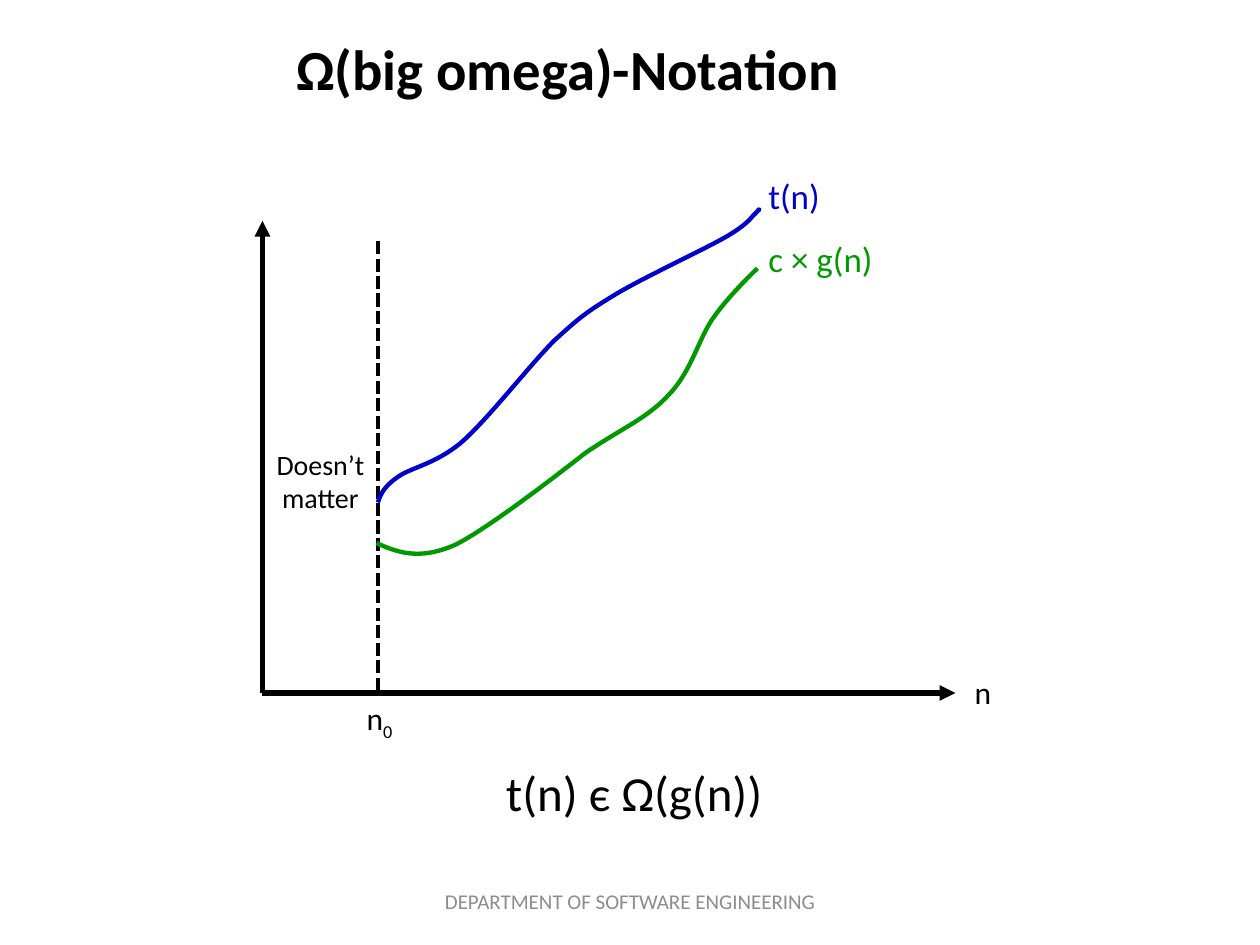
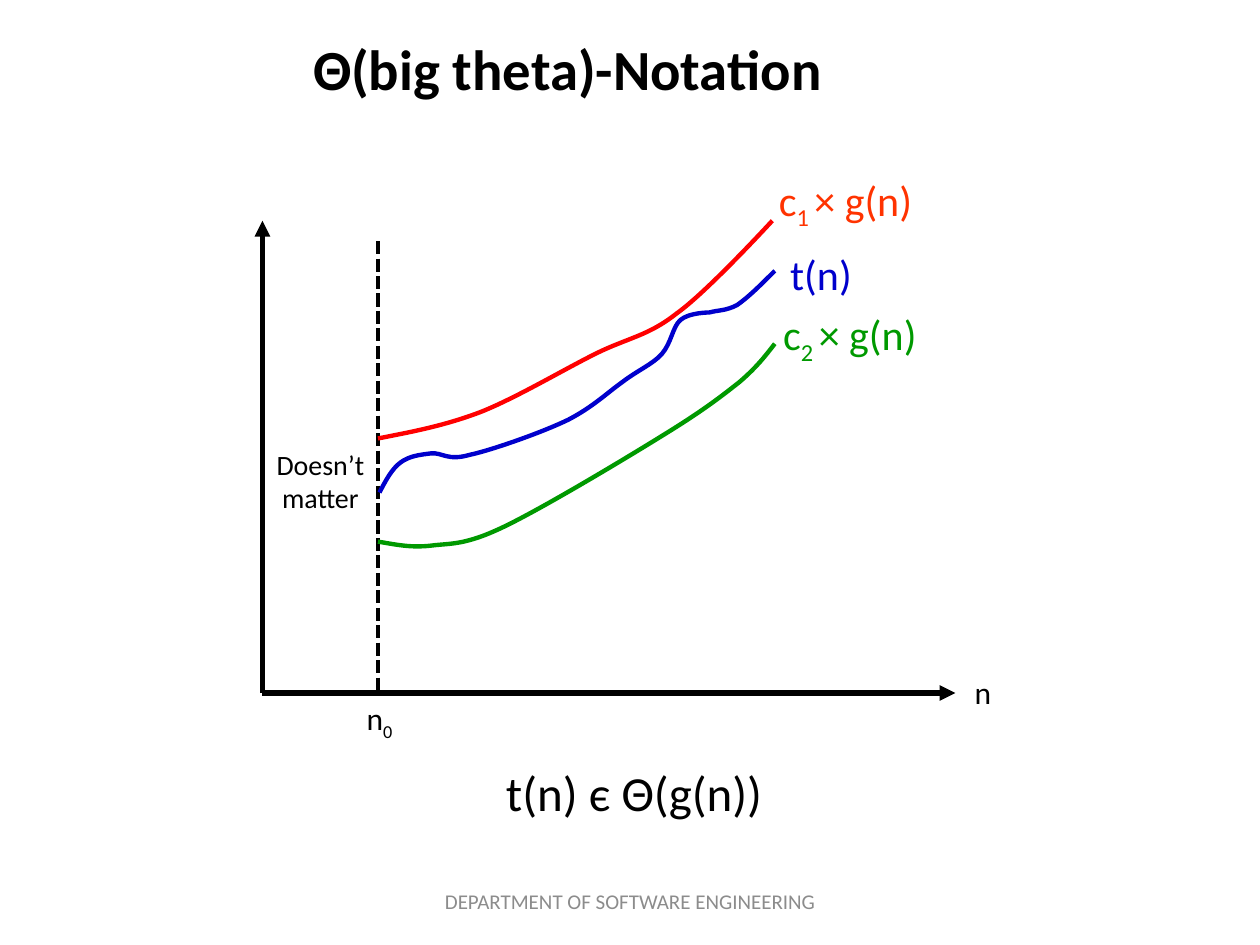
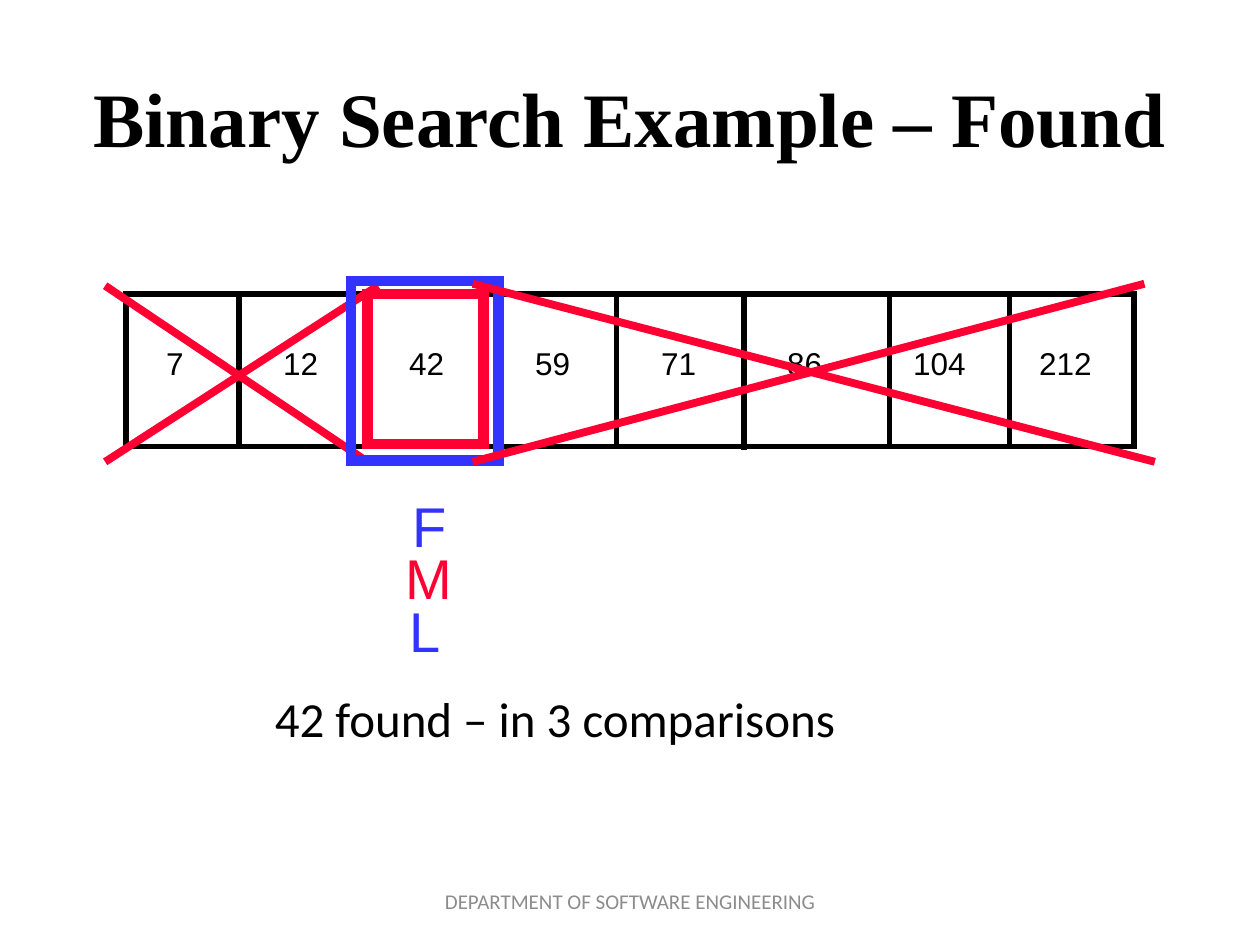
from dataclasses import dataclass

from lxml.etree import SubElement
from pptx import Presentation
from pptx.dml.color import RGBColor
from pptx.enum.dml import MSO_LINE
from pptx.enum.shapes import MSO_CONNECTOR, MSO_SHAPE
from pptx.enum.text import MSO_ANCHOR, MSO_AUTO_SIZE, PP_ALIGN
from pptx.oxml.ns import qn
from pptx.util import Cm, Pt


@dataclass(frozen=True)
class Theme:
    black: str = "000000"
    blue: str = "0000CC"
    green: str = "009900"
    red: str = "FF0000"
    orange: str = "FF3300"
    grey: str = "8C8C8C"
    middle_red: str = "FF0033"
    bound_blue: str = "3333FF"
    body_font: str = "Calibri"
    array_font: str = "Arial"
    serif_font: str = "Times New Roman"
    footer_size: float = 12
    note_size: float = 16
    axis_size: float = 18
    label_size: float = 20
    large_label_size: float = 24
    statement_size: float = 28
    pointer_size: float = 32
    title_size: float = 32.4
    large_title_size: float = 44
    curve_width: float = 2.5
    axis_width: float = 3
    cross_width: float = 4.5
    frame_width: float = 6


THEME = Theme()


def apply(target, **values):
    for name, value in values.items():
        setattr(target, name, value)


def bend(shape):
    """Turn each three straight segments of a freeform into one cubic curve."""
    outline = shape._element.find(".//" + qn("a:path"))
    segments = outline.findall(qn("a:lnTo"))
    for first in range(0, len(segments), 3):
        cubic = SubElement(outline, qn("a:cubicBezTo"))
        for segment in segments[first:first + 3]:
            cubic.append(segment[0])
            outline.remove(segment)


class Deck:
    """Presentation with its theme and current slide; positions are in centimetres."""

    def __init__(self, theme):
        self.theme = theme
        self.presentation = Presentation()
        apply(self.presentation, slide_width=Cm(25.4), slide_height=Cm(19.05))
        self.slide = None

    def new_slide(self, title, box=(1.9, 0.64, 19.08, 1.47), size=None, font=None):
        self.slide = self.presentation.slides.add_slide(self.presentation.slide_layouts[6])
        centred = dict(align=PP_ALIGN.CENTER, anchor=MSO_ANCHOR.MIDDLE, wrap=True)
        self.text(box, [[title]], size or self.theme.title_size, font=font, bold=True, **centred)
        self.text((8.68, 17.65, 8.05, 1.02), [["DEPARTMENT OF SOFTWARE ENGINEERING"]],
                  self.theme.footer_size, self.theme.grey, **centred)

    def text(self, box, lines, size, color=None, font=None, bold=False,
             align=PP_ALIGN.LEFT, anchor=MSO_ANCHOR.TOP, wrap=False, tabs=()):
        """Write lines of runs; every second run of a line is a subscript."""
        frame = self.slide.shapes.add_textbox(*map(Cm, box)).text_frame
        apply(frame, word_wrap=wrap, vertical_anchor=anchor,
              auto_size=MSO_AUTO_SIZE.NONE if wrap else MSO_AUTO_SIZE.SHAPE_TO_FIT_TEXT)
        for number, runs in enumerate(lines):
            paragraph = frame.add_paragraph() if number else frame.paragraphs[0]
            paragraph.alignment = align
            if tabs:
                tab_list = SubElement(paragraph._p.get_or_add_pPr(), qn("a:tabLst"))
                for position in tabs:
                    SubElement(tab_list, qn("a:tab"), pos=str(Cm(position)), algn="l")
            for index, content in enumerate(runs):
                run = paragraph.add_run()
                run.text = content
                apply(run.font, name=font or self.theme.body_font, size=Pt(size), bold=bold)
                run.font.color.rgb = RGBColor.from_string(color or self.theme.black)
                if index % 2:
                    run._r.get_or_add_rPr().set("baseline", "-25000")

    def outline(self, line, color, width):
        line.color.rgb = RGBColor.from_string(color)
        line.width = Pt(width)

    def line(self, start, end, width, color=None, dash=None, arrow=False):
        connector = self.slide.shapes.add_connector(
            MSO_CONNECTOR.STRAIGHT, *map(Cm, (*start, *end)))
        self.outline(connector.line, color or self.theme.black, width)
        if dash:
            connector.line.dash_style = dash
        properties = connector._element.spPr
        if arrow:
            SubElement(properties.find(qn("a:ln")), qn("a:tailEnd"), type="triangle")
        SubElement(properties, qn("a:effectLst"))

    def frame(self, box, color, width):
        rectangle = self.slide.shapes.add_shape(MSO_SHAPE.RECTANGLE, *map(Cm, box))
        self.finish(rectangle, color, width)
        SubElement(rectangle._element.spPr.find(qn("a:ln")), qn("a:miter"), lim="800000")

    def curve(self, points, color):
        """Draw joined cubic curves: a start point, then three points per curve."""
        start, *rest = [(Cm(x), Cm(y)) for x, y in points]
        builder = self.slide.shapes.build_freeform(*start)
        builder.add_line_segments(rest, close=False)
        curve = builder.convert_to_shape()
        bend(curve)
        self.finish(curve, color, self.theme.curve_width)

    def finish(self, shape, color, width):
        shape.shadow.inherit = False
        shape.fill.background()
        self.outline(shape.line, color, width)

    def growth_plot(self, title, statement, statement_width, curves, labels, label_size):
        theme = self.theme
        self.new_slide(title)
        origin, threshold = (5.29, 13.97), 7.62
        for tip in ((5.29, 4.45), (19.26, 13.97)):
            self.line(origin, tip, theme.axis_width, arrow=True)
        self.line((threshold, 4.86), (threshold, origin[1]), theme.curve_width,
                  dash=MSO_LINE.SQUARE_DOT)
        self.text((5.21, 8.89, 2.5, 1.63), [["Doesn’t"], ["matter"]], theme.note_size,
                  align=PP_ALIGN.CENTER)
        self.text((7.14, 13.97, 1.12, 1.02), [["n", "0"]], theme.axis_size)
        self.text((19.4, 13.44, 0.84, 1.02), [["n"]], theme.axis_size)
        self.text((9.95, 15.24, statement_width, 1.45), [[statement]], theme.statement_size)
        for color, points in curves:
            self.curve(points, color)
        for color, box, runs in labels:
            self.text(box, [runs], label_size, color)


def add_omega(deck):
    theme = deck.theme
    t_curve = [
        (7.62, 10.13), (7.67, 9.98), (7.72, 9.83), (8, 9.63),
        (8.28, 9.42), (8.76, 9.37), (9.3, 8.92), (9.83, 8.46), (10.67, 7.37), (11.18, 6.86),
        (11.71, 6.38), (11.81, 6.3), (12.4, 5.94), (12.98, 5.59), (14.2, 5.03), (14.68, 4.75),
        (15.14, 4.47), (15.14, 4.37), (15.24, 4.29), (15.34, 4.19), (15.32, 4.22), (15.27, 4.24)]
    lower_bound = [
        (7.59, 10.95), (8, 11.13), (8.43, 11.3), (9.14, 11),
        (9.83, 10.69), (11.79, 9.14), (11.79, 9.14), (12.52, 8.64), (13.06, 8.43), (13.49, 7.95),
        (13.94, 7.49), (14.1, 6.78), (14.4, 6.38), (14.71, 5.94), (15.27, 5.41), (15.27, 5.41)]
    deck.growth_plot(
        "Ω(big omega)-Notation", "t(n) є Ω(g(n))", 6.8,
        [(theme.blue, t_curve), (theme.green, lower_bound)],
        [(theme.blue, (15.24, 3.39, 1.75, 1.12), ["t(n)"]),
         (theme.green, (15.24, 4.66, 2.92, 1.12), ["c × g(n)"])],
        theme.label_size)


def add_theta(deck):
    theme = deck.theme
    upper_bound = [
        (7.62, 8.84), (8.28, 8.71), (8.94, 8.59), (9.68, 8.31),
        (10.39, 8.03), (11.33, 7.47), (11.99, 7.14), (12.65, 6.81), (13.06, 6.78), (13.64, 6.32),
        (14.25, 5.89), (15.57, 4.45), (15.57, 4.45)]
    t_curve = [
        (7.65, 9.93), (7.77, 9.7), (7.9, 9.45), (8.08, 9.32),
        (8.26, 9.19), (8.46, 9.17), (8.69, 9.14), (8.92, 9.12), (9.02, 9.3), (9.47, 9.17),
        (9.93, 9.07), (10.95, 8.71), (11.46, 8.46), (11.96, 8.2), (12.24, 7.92), (12.55, 7.7),
        (12.85, 7.47), (13.16, 7.34), (13.34, 7.14), (13.54, 6.91), (13.56, 6.58), (13.72, 6.45),
        (13.89, 6.3), (14.3, 6.3), (14.3, 6.3), (14.48, 6.25), (14.63, 6.27), (14.86, 6.15),
        (15.09, 5.99), (15.34, 5.74), (15.62, 5.46)]
    lower_bound = [
        (7.62, 10.92), (7.95, 10.97), (8.26, 11.05), (8.69, 11),
        (9.09, 10.95), (9.37, 11), (10.16, 10.62), (10.95, 10.24), (12.6, 9.25), (13.39, 8.76),
        (14.17, 8.28), (14.53, 8), (14.91, 7.7), (15.27, 7.39), (15.44, 7.16), (15.62, 6.93)]
    deck.growth_plot(
        "Θ(big theta)-Notation", "t(n) є Θ(g(n))", 6.65,
        [(theme.red, upper_bound), (theme.blue, t_curve), (theme.green, lower_bound)],
        [(theme.orange, (15.45, 3.39, 3.58, 1.27), ["c", "1 ", "× g(n)"]),
         (theme.green, (15.54, 6.1, 3.66, 1.27), ["c", "2 ", "× g(n)"]),
         (theme.blue, (15.68, 4.88, 1.98, 1.27), ["t(n)"])],
        theme.large_label_size)


def add_binary_search(deck):
    theme = deck.theme
    deck.new_slide("Binary Search Example – Found", (1.27, 0.76, 22.86, 3.18),
                   theme.large_title_size, theme.serif_font)

    deck.frame((2.54, 5.93, 20.32, 3.07), theme.black, theme.axis_width)
    dividers = [(4.82, 5.97, 8.97), (7.37, 5.87, 8.99), (9.73, 5.87, 8.99), (12.43, 5.97, 8.97),
                (15, 5.89, 9.07), (17.93, 5.87, 9.04), (20.35, 5.92, 9.04)]
    for x, top, bottom in dividers:
        deck.line((x, top), (x, bottom), theme.axis_width)
    values = (7, 12, 42, 59, 71, 86, 104, 212)
    deck.text((3.1, 6.81, 19.53, 1.27), [["\t".join(map(str, values))]], theme.axis_size,
              font=theme.array_font, wrap=True,
              tabs=[2.36 + 2.54 * step for step in range(len(values) - 1)])
    deck.text((5.29, 13.76, 13.87, 1.45), [["42 found – in 3 comparisons"]],
              theme.statement_size, wrap=True)

    def cross_out(*strokes):
        for start, end in strokes:
            deck.line(start, end, theme.cross_width, theme.middle_red)

    deck.frame((7.41, 5.93, 2.34, 3.02), theme.middle_red, theme.frame_width)
    cross_out(((7.62, 5.76), (2.12, 9.31)), ((2.12, 5.76), (7.41, 9.31)))
    deck.frame((7.08, 5.67, 2.97, 3.61), theme.bound_blue, theme.frame_width)
    for pointer, left, top, width, color in (("F", 8.06, 9.78, 1.19, theme.bound_blue),
                                             ("L", 8, 11.9, 1.19, theme.bound_blue),
                                             ("M", 7.92, 10.84, 1.45, theme.middle_red)):
        deck.text((left, top, width, 1.6), [[pointer]], theme.pointer_size, color,
                  theme.array_font)
    cross_out(((23.07, 5.72), (9.53, 9.31)), ((9.53, 5.72), (23.28, 9.31)))


def main():
    deck = Deck(THEME)
    for add_content in (add_omega, add_theta, add_binary_search):
        add_content(deck)
    deck.presentation.save("out.pptx")


if __name__ == "__main__":
    main()
